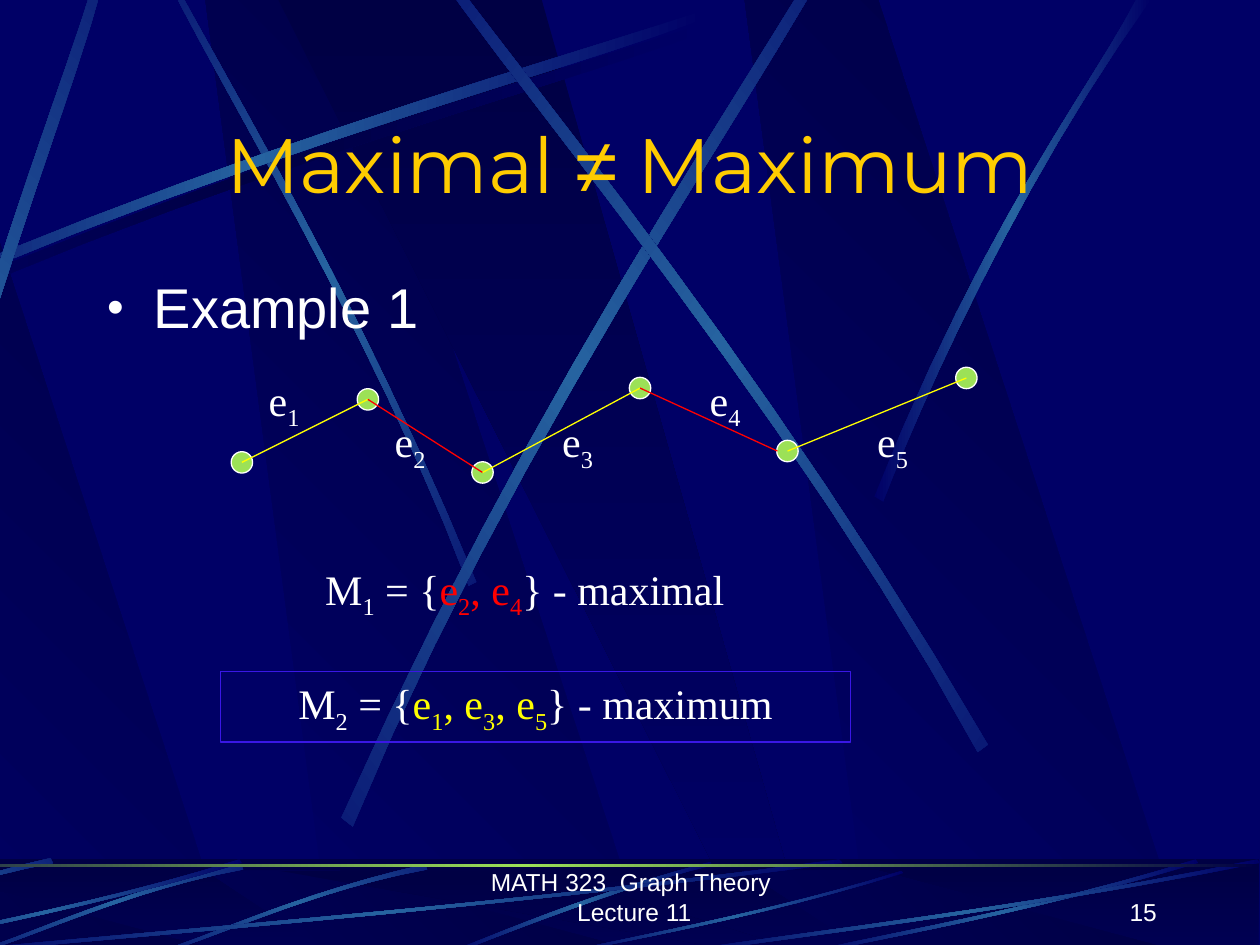
from copy import deepcopy
from itertools import pairwise
from math import cos, radians, sin

from lxml.etree import SubElement
from pptx import Presentation
from pptx.dml.color import RGBColor
from pptx.enum.shapes import MSO_CONNECTOR as Connector, MSO_SHAPE as Shape
from pptx.enum.text import MSO_ANCHOR as Anchor, MSO_AUTO_SIZE as AutoSize, PP_ALIGN as Align
from pptx.oxml.ns import qn
from pptx.util import Inches, Pt

NIGHT, DARK, BEAM, GREEN = "000066", "000044", "2663A0", "9CE157"
WHITE, GOLD, YELLOW, RED, VIOLET = "FFFFFF", "FFCC00", "FFFF00", "FF0000", "3917E5"
SANS, SERIF, DISPLAY = "Arial", "Times New Roman", "Montserrat"


def rgb(value):
    return RGBColor.from_string(value)


def rotate(point, degrees):
    x, y = point
    c, s = cos(radians(degrees)), sin(radians(degrees))
    return x * c - y * s, x * s + y * c


def bezier(a, b, c, d, steps=12):
    """Points on a cubic curve, both ends included."""
    return [tuple((1 - t) ** 3 * p + 3 * (1 - t) ** 2 * t * q + 3 * (1 - t) * t * t * r + t ** 3 * s
                  for p, q, r, s in zip(a, b, c, d))
            for t in (i / steps for i in range(steps + 1))]


def blend(shape, colours, angle):
    """Fill with evenly spaced gradient stops; the angle runs clockwise."""
    shape.fill.gradient()
    shape.fill.gradient_angle = (360 - angle) % 360
    stop_list = shape._element.spPr.find(".//" + qn("a:gsLst"))
    for _ in colours[2:]:
        stop_list.append(deepcopy(stop_list[0]))
    for i, (stop, colour) in enumerate(zip(shape.fill.gradient_stops, colours)):
        stop.color.rgb = rgb(colour)
        stop.position = i / (len(colours) - 1)


class GraphSlide:
    def __init__(self, deck):
        self.slide = deck.slides.add_slide(deck.slide_layouts[1])
        self.shapes = self.slide.shapes
        self.slide.background.fill.solid()
        self.slide.background.fill.fore_color.rgb = rgb(NIGHT)

    def style(self, font, name, size, colour):
        font.name, font.size, font.color.rgb = name, Pt(size), rgb(colour)

    def preset(self, kind, left, top, width, height):
        shape = self.shapes.add_shape(kind, Inches(left), Inches(top), Inches(width), Inches(height))
        shape.shadow.inherit = False
        shape.line.fill.background()
        return shape

    def outline(self, points, colours, angle=0, turn=0):
        """Draw a polygon whose gradient turns with the shape."""
        level = [rotate(p, -turn) for p in points]
        middle = [(min(v) + max(v)) / 2 for v in zip(*level)]
        dx, dy = (a - b for a, b in zip(rotate(middle, turn), middle))
        corners = [(Inches(x + dx), Inches(y + dy)) for x, y in level]
        builder = self.shapes.build_freeform(*corners[0])
        builder.add_line_segments(corners[1:], close=True)
        shape = builder.convert_to_shape()
        shape.shadow.inherit = False
        shape.line.fill.background()
        blend(shape, colours, angle)
        shape.rotation = turn

    def facets(self, top, bottom):
        for left in (1.63, -1.69, 5.91):
            self.outline([(left + 1, bottom), (left + 3.52, bottom), (left + 1.06, top), (left, top)],
                         (NIGHT, DARK), 315)
        self.outline([(2.21, top), (6, bottom), (6.43, bottom), (4.3, top)], (DARK, NIGHT), 90)

    def streak(self, points, turn=0, middle=BEAM, dx=0, dy=0):
        moved = [(x + dx, y + dy) for x, y in points]
        self.outline(bezier(*moved[:4]) + bezier(*moved[4:]), (NIGHT, middle, NIGHT), turn=turn)

    def band(self, top, height):
        return self.preset(Shape.RECTANGLE, -1.69, top, 11.68, height)

    def placeholder(self, holder, left, top, width, height, anchor):
        """Place a template placeholder in front and return its first paragraph."""
        self.shapes._spTree.append(holder._element)
        holder.left, holder.top = Inches(left), Inches(top)
        holder.width, holder.height = Inches(width), Inches(height)
        frame = holder.text_frame
        frame.auto_size, frame.vertical_anchor = AutoSize.NONE, anchor
        return frame.paragraphs[0]

    def title(self, parts):
        paragraph = self.placeholder(self.shapes.title, 0.75, 0.88, 8.5, 0.83, Anchor.MIDDLE)
        paragraph.alignment = Align.CENTER
        for text, name in parts:
            run = paragraph.add_run()
            run.text = text
            self.style(run.font, name, 44, GOLD)

    def bullet(self, text):
        paragraph = self.placeholder(self.slide.placeholders[1], 0.75, 2.17, 8.5, 0.58, Anchor.TOP)
        paragraph.text = text
        props = paragraph._p.get_or_add_pPr()
        props.set("marL", str(Inches(0.37)))
        props.set("indent", str(Inches(-0.37)))
        SubElement(SubElement(props, qn("a:buClr")), qn("a:srgbClr"), val=WHITE)
        SubElement(props, qn("a:buSzPct"), val="85000")
        SubElement(props, qn("a:buChar"), char="•")
        paragraph.line_spacing, paragraph.space_before = 0.9, Pt(0)
        self.style(paragraph.font, SANS, 32, WHITE)

    def footer(self, text, left, width, align):
        box = self.shapes.add_textbox(Inches(left), Inches(6.9), Inches(width), Inches(0.5))
        frame = box.text_frame
        frame.word_wrap, frame.vertical_anchor = True, Anchor.BOTTOM
        paragraph = frame.paragraphs[0]
        paragraph.text, paragraph.alignment = text, align
        self.style(paragraph.font, SANS, 14, WHITE)

    def vertex(self, x, y):
        dot = self.preset(Shape.OVAL, x - 0.085, y - 0.085, 0.17, 0.17)
        dot.fill.solid()
        dot.fill.fore_color.rgb = rgb(GREEN)
        dot.line.color.rgb, dot.line.width = rgb(WHITE), Pt(0.75)

    def edge(self, start, end, colour):
        line = self.shapes.add_connector(Connector.STRAIGHT, *(Inches(v) for v in start + end))
        line.line.color.rgb, line.line.width = rgb(colour), Pt(0.75)
        SubElement(line._element.spPr, qn("a:effectLst"))

    def formula(self, parts, left, top, width, border=None):
        """Write (text, colour) parts; the character after each _ is a subscript."""
        if border:
            box = self.preset(Shape.RECTANGLE, left, top, width, 0.56)
            box.fill.background()
            box.line.color.rgb, box.line.width = rgb(border), Pt(0.75)
        else:
            box = self.shapes.add_textbox(Inches(left), Inches(top), Inches(width), Inches(0.56))
        frame = box.text_frame
        frame.word_wrap, frame.vertical_anchor = True, Anchor.TOP
        paragraph = frame.paragraphs[0]
        paragraph.alignment = Align.CENTER
        self.style(paragraph.font, SERIF, 24, WHITE)
        for text, colour in parts:
            first, *rest = text.split("_")
            pieces = [(first, False)]
            for piece in rest:
                pieces += [(piece[0], True), (piece[1:], False)]
            for piece, lowered in pieces:
                if piece:
                    run = paragraph.add_run()
                    run.text = piece
                    self.style(run.font, SERIF, 24, colour)
                    if lowered:
                        run._r.get_or_add_rPr().set("baseline", "-25000")


def backdrop(page):
    page.facets(0, 7.54)
    ray = [(-1.52, 2.67), (1.56, 1.25), (4.36, 0.5), (5.56, 0.09),
           (5.59, 0.15), (4.42, 0.6), (1.21, 1.42), (-1.49, 2.77)]
    page.streak(ray, middle=DARK, dx=0.07, dy=0.08)
    page.streak([(3.78, 4.62), (2.86, 2.38), (1.77, 0.59), (1.35, -0.21),
                 (1.31, -0.2), (1.7, 0.61), (2.96, 2.64), (3.72, 4.65)], 45)
    page.streak(ray)
    page.streak([(-1.1, 6.39), (-0.56, 3.32), (0.41, 0.95), (0.74, -0.13),
                 (0.81, -0.11), (0.52, 0.99), (-0.61, 3.68), (-1, 6.45)], 312)
    page.streak([(2.71, 6.49), (4.15, 3.25), (5.85, 0.79), (6.51, -0.34),
                 (6.58, -0.31), (5.96, 0.84), (4, 3.63), (2.8, 6.56)], 321)
    page.streak([(7.84, 5.91), (6.13, 2.97), (4.27, 0.75), (3.52, -0.27),
                 (3.46, -0.23), (4.17, 0.81), (6.32, 3.32), (7.76, 5.97)], 35)
    page.streak([(6.94, 3.94), (7.82, 1.73), (8.69, 0.65), (9.02, -0.01),
                 (9.14, -0.01), (8.08, 1.45), (7.3, 3.22), (7.01, 3.98)])

    blend(page.band(6.82, 0.75), (DARK, NIGHT), 90)
    page.facets(6.91, 7.57)
    veil = page.band(6.82, 0.75)
    veil.fill.solid()
    veil.fill.fore_color.rgb = rgb(DARK)
    SubElement(veil._element.spPr.find(".//" + qn("a:srgbClr")), qn("a:alpha"), val="50000")

    page.streak([(5.64, 6.84), (4.58, 7.12), (3.89, 7.44), (3.55, 7.56),
                 (3.6, 7.57), (4.03, 7.4), (4.99, 7.02), (5.65, 6.87)])
    for dx, dy in ((0, 0), (-1.46, 0), (-2.97, -0.05)):
        page.streak([(3.37, 6.86), (2.44, 7.07), (1.74, 7.39), (1.41, 7.5),
                     (1.42, 7.52), (1.75, 7.42), (2.55, 7.05), (3.39, 6.9)], 315, dx=dx, dy=dy)
    page.streak([(6.69, 6.85), (3.56, 7.25), (0.72, 7.46), (-0.49, 7.58),
                 (-0.52, 7.56), (0.67, 7.43), (3.92, 7.2), (6.66, 6.82)])
    short = [(1.92, 6.85), (0.57, 7.25), (-0.66, 7.46), (-1.19, 7.58),
             (-1.2, 7.56), (-0.68, 7.43), (0.72, 7.2), (1.9, 6.82)]
    page.streak(short)
    page.streak([(7.17, 6.93), (6, 7.29), (4.94, 7.47), (4.49, 7.57),
                 (4.47, 7.56), (4.92, 7.45), (6.14, 7.24), (7.16, 6.91)])
    page.streak(short, dx=7.59)
    page.streak([(10, 6.85), (7.97, 7.25), (6.13, 7.46), (5.35, 7.58),
                 (5.33, 7.56), (6.1, 7.43), (8.2, 7.2), (9.98, 6.82)])
    blend(page.band(6.86, 0.02), (DARK, GREEN, DARK), 0)


def main():
    deck = Presentation()
    deck.slide_width, deck.slide_height = Inches(10), Inches(7.5)
    page = GraphSlide(deck)
    backdrop(page)
    page.footer("MATH 323  Graph Theory  Lecture 11", 3.45, 3.17, Align.CENTER)
    page.footer("15", 7.2, 2.08, Align.RIGHT)
    page.title([("Maximal ", DISPLAY), ("≠", SANS), (" Maximum", DISPLAY)])
    page.bullet("Example 1")

    vertices = [(1.92, 3.67), (2.92, 3.17), (3.83, 3.75), (5.08, 3.08), (6.25, 3.58), (7.67, 3)]
    for vertex in vertices:
        page.vertex(*vertex)
    labels = [(1.92, 2.92), (2.92, 3.25), (4.25, 3.25), (5.42, 2.92), (6.75, 3.25)]
    for number, ((start, end), label) in enumerate(zip(pairwise(vertices), labels), 1):
        if number == 4:  # this edge stops at the rim of its vertex
            end = (end[0] - 0.08, end[1])
        page.edge(start, end, YELLOW if number % 2 else RED)
        page.formula([(f"e_{number}", WHITE)], *label, 0.67)

    page.formula([("M_1 = {", WHITE), ("e_2, e_4", RED), ("} - maximal", WHITE)], 1.83, 4.42, 4.67)
    page.formula([("M_2 = {", WHITE), ("e_1, e_3, e_5", YELLOW), ("} - maximum", WHITE)],
                 1.75, 5.33, 5, VIOLET)
    deck.save("out.pptx")


if __name__ == "__main__":
    main()
